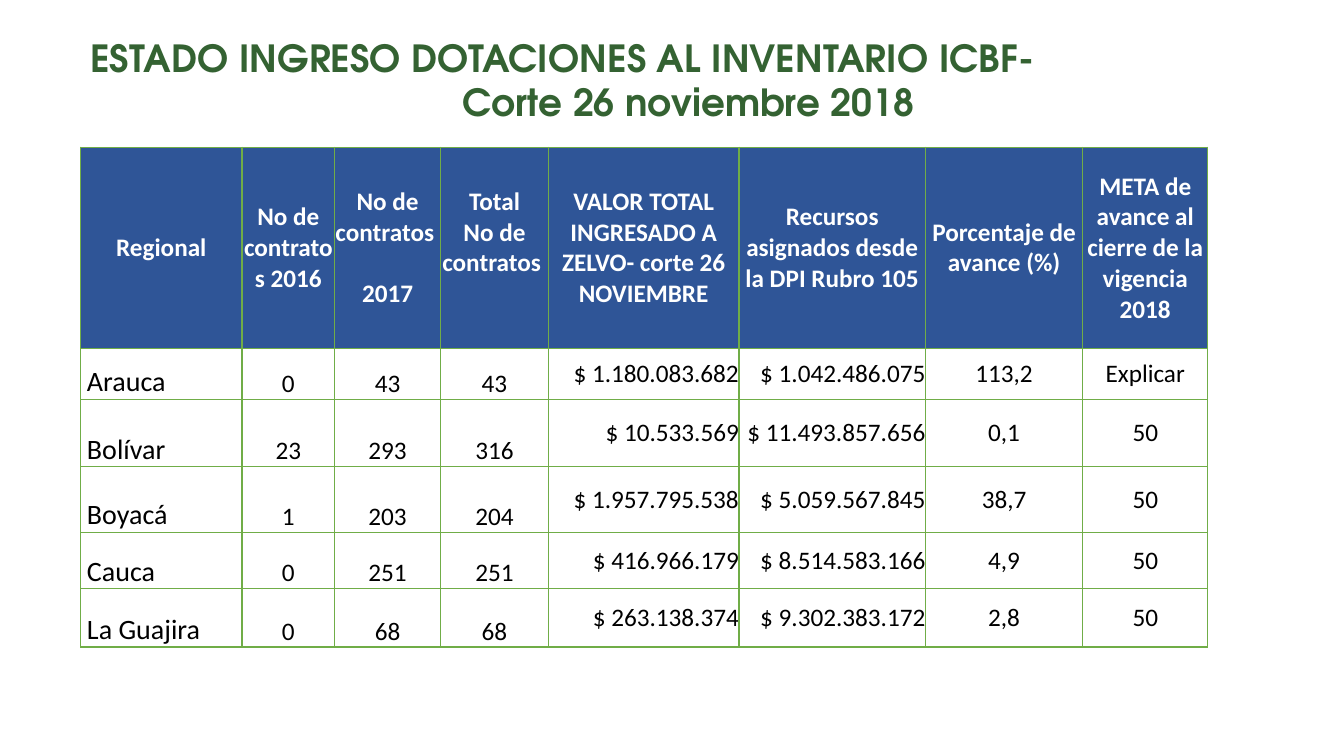
from dataclasses import dataclass

from lxml import etree
from pptx import Presentation
from pptx.dml.color import RGBColor
from pptx.enum.text import MSO_ANCHOR, PP_ALIGN
from pptx.oxml.ns import qn
from pptx.util import Inches, Pt

LEFT, CENTER, RIGHT = PP_ALIGN.LEFT, PP_ALIGN.CENTER, PP_ALIGN.RIGHT
MIDDLE, BOTTOM = MSO_ANCHOR.MIDDLE, MSO_ANCHOR.BOTTOM


@dataclass(frozen=True)
class Theme:
    title_font: str = "TeX Gyre Adventor"
    body_font: str = "Calibri"
    title: str = "346232"
    header_fill: str = "2F5597"
    body_fill: str = "FFFFFF"
    header_text: str = "FFFFFF"
    body_text: str = "000000"
    border: str = "70AD47"
    title_size: float = 26.7
    region_size: float = 20
    cell_size: float = 18
    border_width: float = 1


THEME = Theme()

TITLE = ["ESTADO INGRESO DOTACIONES AL INVENTARIO ICBF-", "Corte 26 noviembre 2018"]
HEADERS = [
    "Regional", "No de contratos 2016", "No de contratos  \v2017",
    "Total\vNo de contratos \v",
    "VALOR TOTAL INGRESADO A ZELVO- corte 26 NOVIEMBRE",
    "Recursos asignados desde la DPI Rubro 105",
    "Porcentaje de avance (%)",
    "META de avance al cierre de la vigencia 2018",
]
REGIONS = [
    (" Arauca", "0", "43", "43", "$ 1.180.083.682", "$ 1.042.486.075", "113,2", "Explicar"),
    (" Bolívar", "23", "293", "316", "$ 10.533.569", "$ 11.493.857.656", "0,1", "50"),
    (" Boyacá", "1", "203", "204", "$ 1.957.795.538", "$ 5.059.567.845", "38,7", "50"),
    (" Cauca", "0", "251", "251", "$ 416.966.179", "$ 8.514.583.166", "4,9", "50"),
    (" La Guajira", "0", "68", "68", "$ 263.138.374", "$ 9.302.383.172", "2,8", "50"),
]
COLUMN_WIDTHS = [1.6, 0.92, 1.05, 1.07, 1.89, 1.85, 1.56, 1.24]
ROW_HEIGHTS = [2, 0.5, 0.67, 0.65, 0.56, 0.58]
COLUMN_ALIGNS = [LEFT] + [CENTER] * 3 + [RIGHT] * 2 + [CENTER] * 2
COLUMN_ANCHORS = [BOTTOM] * 4 + [MIDDLE] * 4


def set_font(p, name, size, color, bold=False):
    font = p.font
    font.name, font.size, font.bold = name, Pt(size), bold
    font.color.rgb = RGBColor.from_string(color)


def add_borders(cell):
    tcPr = cell._tc.get_or_add_tcPr()
    for i, side in enumerate(("lnL", "lnR", "lnT", "lnB")):
        ln = etree.Element(qn(f"a:{side}"), w=str(Pt(THEME.border_width)))
        fill = etree.SubElement(ln, qn("a:solidFill"))
        etree.SubElement(fill, qn("a:srgbClr"), val=THEME.border)
        tcPr.insert(i, ln)


def fill_cell(cell, text, align, anchor, size, color, fill, bold=False):
    cell.margin_left = cell.margin_right = cell.margin_top = cell.margin_bottom = 0
    cell.vertical_anchor = anchor
    cell.fill.solid()
    cell.fill.fore_color.rgb = RGBColor.from_string(fill)
    add_borders(cell)
    p = cell.text_frame.paragraphs[0]
    p.text = text
    p.alignment = align
    set_font(p, THEME.body_font, size, color, bold)


def add_title(s, left, top, width, height):
    tf = s.shapes.add_textbox(Inches(left), Inches(top), Inches(width), Inches(height)).text_frame
    tf.word_wrap = True
    tf.vertical_anchor = MIDDLE
    tf.text = "\n".join(TITLE)
    for p, align in zip(tf.paragraphs, (LEFT, CENTER)):
        p.alignment = align
        set_font(p, THEME.title_font, THEME.title_size, THEME.title, bold=True)


def add_progress_table(s, left, top):
    table = s.shapes.add_table(
        len(ROW_HEIGHTS), len(COLUMN_WIDTHS), Inches(left), Inches(top),
        Inches(sum(COLUMN_WIDTHS)), Inches(sum(ROW_HEIGHTS))).table
    table.horz_banding = False
    for column, width in zip(table.columns, COLUMN_WIDTHS):
        column.width = Inches(width)
    for row, height in zip(table.rows, ROW_HEIGHTS):
        row.height = Inches(height)
    for c, header in enumerate(HEADERS):
        fill_cell(table.cell(0, c), header, CENTER, MIDDLE, THEME.cell_size,
                  THEME.header_text, THEME.header_fill, bold=True)
    for r, region in enumerate(REGIONS, 1):
        for c, text in enumerate(region):
            size = THEME.region_size if c == 0 else THEME.cell_size
            fill_cell(table.cell(r, c), text, COLUMN_ALIGNS[c], COLUMN_ANCHORS[c],
                      size, THEME.body_text, THEME.body_fill)


def main():
    prs = Presentation()
    prs.slide_width, prs.slide_height = Inches(13.33), Inches(7.5)
    s = prs.slides.add_slide(prs.slide_layouts[6])
    add_title(s, 0.8, 0.29, 12.06, 1)
    add_progress_table(s, 0.8, 1.46)
    prs.save("out.pptx")


if __name__ == "__main__":
    main()
